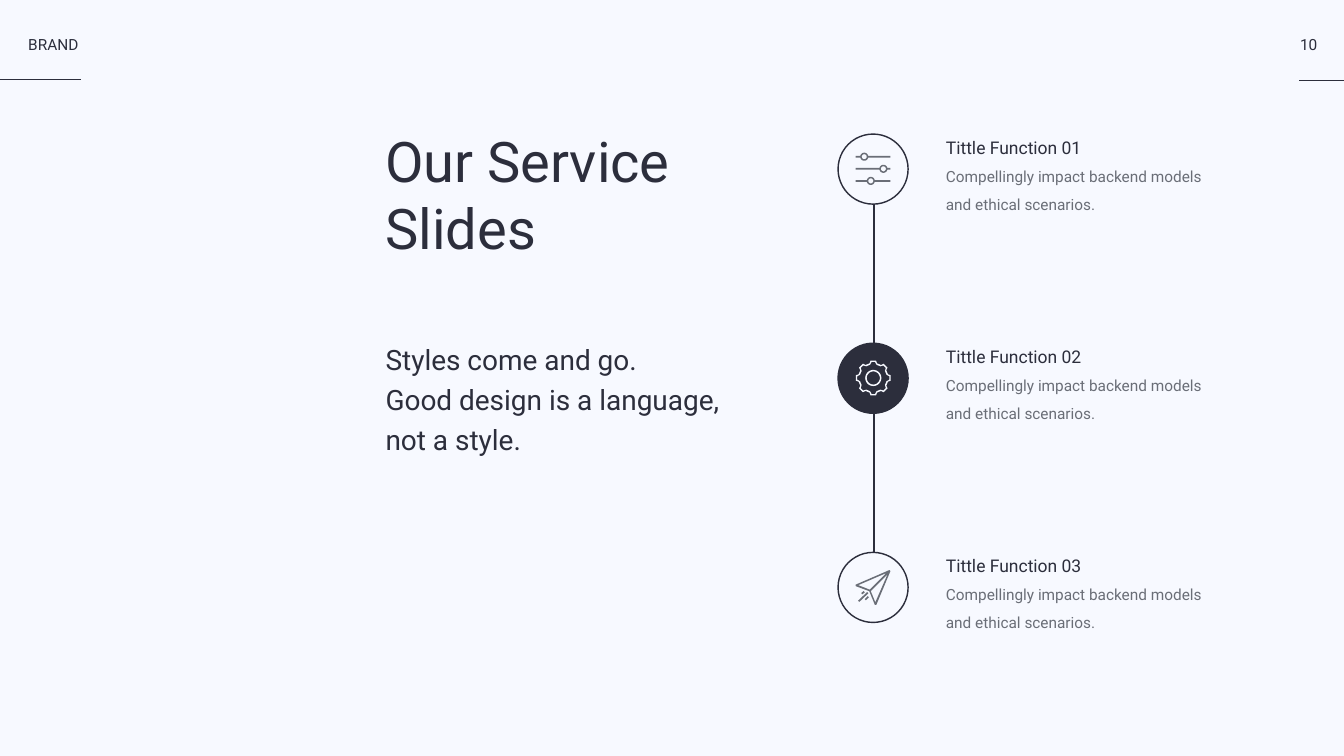
import math
import pptx
import pptx.util
import pptx.dml.color
import pptx.enum.shapes
import pptx.enum.text
import pptx.oxml.ns
from lxml import etree

PX = 9144
DARK, GREY, PALE = "2C2E3C", "6A6E77", "F7F9FF"
LEFT = pptx.enum.text.PP_ALIGN.LEFT
MID = pptx.enum.text.PP_ALIGN.CENTER
OVAL = pptx.enum.shapes.MSO_SHAPE.OVAL


def px(value):
    return round(value * PX)


def paint(target, color):
    target.solid()
    target.fore_color.rgb = pptx.dml.color.RGBColor.from_string(color)


def add_line(slide, x1, y1, x2, y2):
    line = slide.shapes.add_connector(
        pptx.enum.shapes.MSO_CONNECTOR.STRAIGHT, px(x1), px(y1), px(x2), px(y2))
    paint(line.line.fill, DARK)
    line.line.width = pptx.util.Pt(2)
    etree.SubElement(line._element.spPr, pptx.oxml.ns.qn("a:effectLst"))


def add_disc(slide, x, y, size, fill):
    disc = slide.shapes.add_shape(OVAL, px(x), px(y), px(size), px(size))
    disc.shadow.inherit = False
    paint(disc.line.fill, DARK)
    disc.line.width = pptx.util.Pt(2)
    if fill:
        paint(disc.fill, fill)
    else:
        disc.fill.background()


def add_icon(slide, x, y, loops, color):
    path = None
    for loop in loops:
        spots = [(px(x + a), px(y + b)) for a, b in loop]
        if path is None:
            path = slide.shapes.build_freeform(*spots[0])
        else:
            path.move_to(*spots[0])
        path.add_line_segments(spots[1:], close=True)
    icon = path.convert_to_shape()
    icon.shadow.inherit = False
    paint(icon.fill, color)
    icon.line.fill.background()


def add_text(slide, x, y, w, h, rows, space=1.0, align=LEFT):
    box = slide.shapes.add_textbox(px(x), px(y), px(w), px(h))
    frame = box.text_frame
    frame.margin_left = frame.margin_right = 0
    frame.margin_top = frame.margin_bottom = 0
    frame.word_wrap = False
    frame.auto_size = pptx.enum.text.MSO_AUTO_SIZE.SHAPE_TO_FIT_TEXT
    for index, (text, size, color) in enumerate(rows):
        para = frame.add_paragraph() if index else frame.paragraphs[0]
        para.text = text
        para.alignment = align
        para.line_spacing = space
        para.font.name = "Roboto"
        para.font.size = pptx.util.Pt(size)
        paint(para.font.fill, color)


def polar(x, y, radius, turn):
    angle = math.radians(turn)
    return x + radius * math.cos(angle), y + radius * math.sin(angle)


def ring(x, y, outer, inner):
    return [[polar(x, y, radius, turn) for turn in range(0, 360, 10)]
            for radius in (outer, inner)]


def bar(x1, y1, x2, y2):
    length = math.hypot(x2 - x1, y2 - y1)
    dx, dy = 1.7 * (y1 - y2) / length, 1.7 * (x2 - x1) / length
    return [(x1 + dx, y1 + dy), (x2 + dx, y2 + dy),
            (x2 - dx, y2 - dy), (x1 - dx, y1 - dy)]


def mixer():
    loops = []
    for row, knob in enumerate((17, 55, 30)):
        y = 10 + 24 * row
        loops += [bar(0, y, knob - 8, y), bar(knob + 8, y, 69, y)]
        loops += ring(knob, y, 8, 5)
    return loops


def gear():
    rims = (((35, -9), (35, 9), (30, 14), (30, 31)),
            ((32, -6), (32, 6), (27, 14), (27, 31)))
    loops = [[polar(35, 34, radius, 45 * tooth + turn)
              for tooth in range(8) for radius, turn in rim] for rim in rims]
    return loops + ring(35, 34, 16, 13)


def plane():
    return [[(67, 0), (69, 2), (41, 69), (38, 69), (27, 42), (0, 32), (0, 29)],
            [(39, 64), (30, 42), (63, 9)],
            [(5, 30), (61, 6), (28, 39)],
            bar(25, 53, 19, 59), bar(24, 45, 6, 62), bar(17, 43, 12, 47)]


def draw_header(slide, x, y, w):
    add_line(slide, x, y + 158, x + 161, y + 158)
    add_text(slide, x + 56, y + 69, 105, 40, [("BRAND", 22, DARK)])
    add_line(slide, x + w - 89, y + 160, x + w, y + 160)
    add_text(slide, x + w - 88, y + 69, 36, 40, [("10", 22, DARK)], align=MID)


def draw_intro(slide, x, y):
    title = ("Our Service", "Slides")
    quote = ("Styles come and go.", "Good design is a language,", "not a style.")
    add_text(slide, x, y, 610, 294, [(text, 80, DARK) for text in title])
    add_text(slide, x, y + 415, 668, 250, [(text, 40, DARK) for text in quote], 1.2)


def draw_steps(slide, x, y):
    size, step = 139, 415
    steps = ((mixer, GREY, None), (gear, PALE, DARK), (plane, GREY, None))
    for index, (icon, color, fill) in enumerate(steps):
        top = y + step * index
        if index:
            add_line(slide, x + 71, top - step + size, x + 71, top)
        add_disc(slide, x, top, size, fill)
        add_icon(slide, x + 35, top + 35, icon(), color)
        rows = [(f"Tittle Function 0{index + 1}", 25, DARK),
                ("Compellingly impact backend models", 22, GREY),
                ("and ethical scenarios.", 22, GREY)]
        add_text(slide, x + 214, top - 15, 511, 169, rows, 1.5)


def main():
    deck = pptx.Presentation()
    deck.slide_width, deck.slide_height = px(2667), px(1500)
    slide = deck.slides.add_slide(deck.slide_layouts[6])
    paint(slide.background.fill, PALE)
    draw_header(slide, 0, 0, 2667)
    draw_intro(slide, 765, 251)
    draw_steps(slide, 1663, 266)
    deck.save("out.pptx")


if __name__ == "__main__":
    main()
